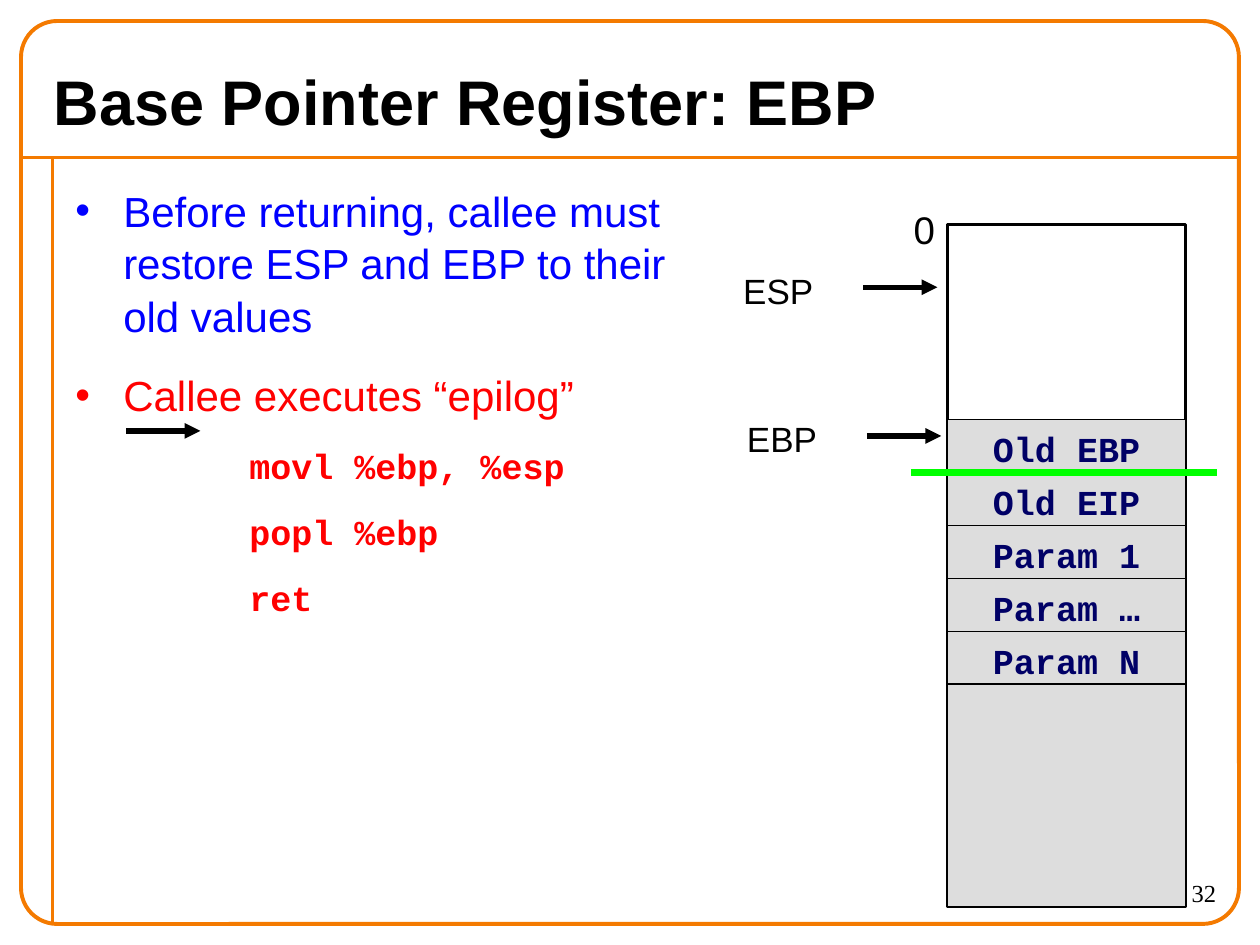
from dataclasses import dataclass

from lxml import etree
from pptx import Presentation
from pptx.dml.color import RGBColor
from pptx.enum.shapes import MSO_CONNECTOR, MSO_SHAPE
from pptx.enum.text import MSO_ANCHOR, PP_ALIGN
from pptx.oxml.ns import qn
from pptx.util import Inches, Pt

LEFT, CENTER, RIGHT = PP_ALIGN.LEFT, PP_ALIGN.CENTER, PP_ALIGN.RIGHT
TOP, MIDDLE = MSO_ANCHOR.TOP, MSO_ANCHOR.MIDDLE
RECTANGLE, ROUNDED = MSO_SHAPE.RECTANGLE, MSO_SHAPE.ROUNDED_RECTANGLE
STRAIGHT = MSO_CONNECTOR.STRAIGHT


@dataclass(frozen=True)
class Style:
    size: float
    color: str
    font: str = "Arial"
    bold: bool = False
    spacing: float = 1.05


@dataclass(frozen=True)
class Theme:
    frame: str = "F47A00"
    ink: str = "000000"
    cell: str = "DDDDDD"
    marker: str = "00FF00"
    title: Style = Style(36, "000000", bold=True, spacing=1)
    number: Style = Style(14, "000000", "Times New Roman", spacing=1)
    goal: Style = Style(24, "0000FF")
    action: Style = Style(24, "FF0000")
    code: Style = Style(20, "FF0000", "Courier New", True)
    slot: Style = Style(20, "000066", "Courier New", True)
    label: Style = Style(20, "000000")
    address: Style = Style(22, "000000")


THEME = Theme()

# Content
TITLE = "Base Pointer Register: EBP"
PAGE_NUMBER = "32"
BODY = [
    ("Before returning, callee must restore ESP and EBP to their old values", THEME.goal),
    ("Callee executes “epilog”", THEME.action),
    ("movl %ebp, %esp", THEME.code),
    ("popl %ebp", THEME.code),
    ("ret", THEME.code),
]
SLOTS = ["Old EBP", "Old EIP", "Param 1", "Param …", "Param N"]
POINTERS = [("ESP", 5.8, 2.07), ("EBP", 5.83, 3.25)]

# Layout in inches
WIDTH, HEIGHT = 10, 7.5
MARGIN = WIDTH / 60
RULE_Y, RULE_X = HEIGHT / 6, WIDTH / 24
STACK_X, STACK_Y, STACK_WIDTH, STACK_HEIGHT = 7.52, 1.78, 1.89, 5.42
SLOT_Y, SLOT_HEIGHT = 3.33, 0.42
ARROW_LENGTH = 0.59
BULLET_INDENT, CODE_INDENT = 0.38, 1.38

deck = Presentation()
deck.slide_width, deck.slide_height = Inches(WIDTH), Inches(HEIGHT)
page = deck.slides.add_slide(deck.slide_layouts[6])


def format_paragraph(para, style, align=LEFT):
    para.alignment = align
    para.line_spacing = style.spacing
    for span in para.runs:
        font = span.font
        font.size, font.name, font.bold = Pt(style.size), style.font, style.bold
        font.color.rgb = RGBColor.from_string(style.color)


def add_text(text, x, y, width, height, style, align=LEFT, anchor=TOP):
    box = page.shapes.add_textbox(*map(Inches, (x, y, width, height)))
    frame = box.text_frame
    frame.word_wrap, frame.vertical_anchor = True, anchor
    frame.text = text
    for para in frame.paragraphs:
        format_paragraph(para, style, align)
    return frame


def add_block(kind, x, y, width, height, line_color, line_width, fill=None):
    block = page.shapes.add_shape(kind, *map(Inches, (x, y, width, height)))
    block.shadow.inherit = False
    block.line.color.rgb = RGBColor.from_string(line_color)
    block.line.width = Pt(line_width)
    if fill:
        block.fill.solid()
        block.fill.fore_color.rgb = RGBColor.from_string(fill)
    else:
        block.fill.background()
    return block


def add_line(x1, y1, x2, y2, color, width, arrow=False):
    line = page.shapes.add_connector(STRAIGHT, *map(Inches, (x1, y1, x2, y2)))
    line.line.color.rgb = RGBColor.from_string(color)
    line.line.width = Pt(width)
    if arrow:
        etree.SubElement(line.line._get_or_add_ln(), qn("a:tailEnd"), type="triangle")
    etree.SubElement(line._element.spPr, qn("a:effectLst"))


def add_arrow(x, y):
    add_line(x, y, x + ARROW_LENGTH, y, THEME.ink, 3, arrow=True)


def set_indent(para, style):
    """Hang a bullet before prose, and push code in without one."""
    props = para._p.get_or_add_pPr()
    if style is THEME.code:
        props.set("marL", str(Inches(CODE_INDENT)))
        return
    props.set("marL", str(Inches(BULLET_INDENT)))
    props.set("indent", str(-Inches(BULLET_INDENT)))
    color = etree.SubElement(props, qn("a:buClr"))
    etree.SubElement(color, qn("a:srgbClr"), val=style.color)
    etree.SubElement(props, qn("a:buFont"), typeface=style.font)
    etree.SubElement(props, qn("a:buChar"), char="•")


# Page frame and title
add_line(MARGIN, RULE_Y, WIDTH - MARGIN, RULE_Y, THEME.frame, 2.25)
add_line(RULE_X, RULE_Y, RULE_X, HEIGHT - MARGIN, THEME.frame, 2.25)
border = add_block(ROUNDED, MARGIN, MARGIN, WIDTH - 2 * MARGIN, HEIGHT - 2 * MARGIN,
                   THEME.frame, 2.25)
border.adjustments[0] = 0.04
add_text(PAGE_NUMBER, 8.75, 6.92, 1, 0.42, THEME.number, RIGHT)
add_text(TITLE, 0.33, 0.42, 9.33, 0.75, THEME.title, anchor=MIDDLE)

# Memory stack
add_block(RECTANGLE, STACK_X, STACK_Y, STACK_WIDTH, STACK_HEIGHT, THEME.ink, 1.5)
add_text("0", 7.02, 1.57, 0.63, 0.47, THEME.address, CENTER)
used_y = SLOT_Y + len(SLOTS) * SLOT_HEIGHT
add_block(RECTANGLE, STACK_X, used_y, STACK_WIDTH, STACK_Y + STACK_HEIGHT - used_y,
          THEME.ink, 0.75, THEME.cell)
for row, name in enumerate(SLOTS):
    slot = add_block(RECTANGLE, STACK_X, SLOT_Y + row * SLOT_HEIGHT, STACK_WIDTH,
                     SLOT_HEIGHT, THEME.ink, 0.75, THEME.cell)
    slot.text_frame.text = name
    slot.text_frame.vertical_anchor = TOP
    format_paragraph(slot.text_frame.paragraphs[0], THEME.slot, CENTER)

# Explanation
body = add_text("\n".join(text for text, _ in BODY), 0.5, 1.4, 5.21, 5.45, THEME.goal)
for para, (_, style) in zip(body.paragraphs, BODY):
    format_paragraph(para, style)
    para.space_before = Pt(style.size * 0.625)
    set_indent(para, style)

# Pointers and frame boundary
boundary_y = SLOT_Y + SLOT_HEIGHT
add_line(7.23, boundary_y, 9.66, boundary_y, THEME.marker, 4.5)
for name, x, y in POINTERS:
    add_text(name, x, y, 1.51, 0.44, THEME.label)
    add_arrow(x + 1.05, y + 0.21)
add_arrow(1, 3.42)

deck.save("out.pptx")
